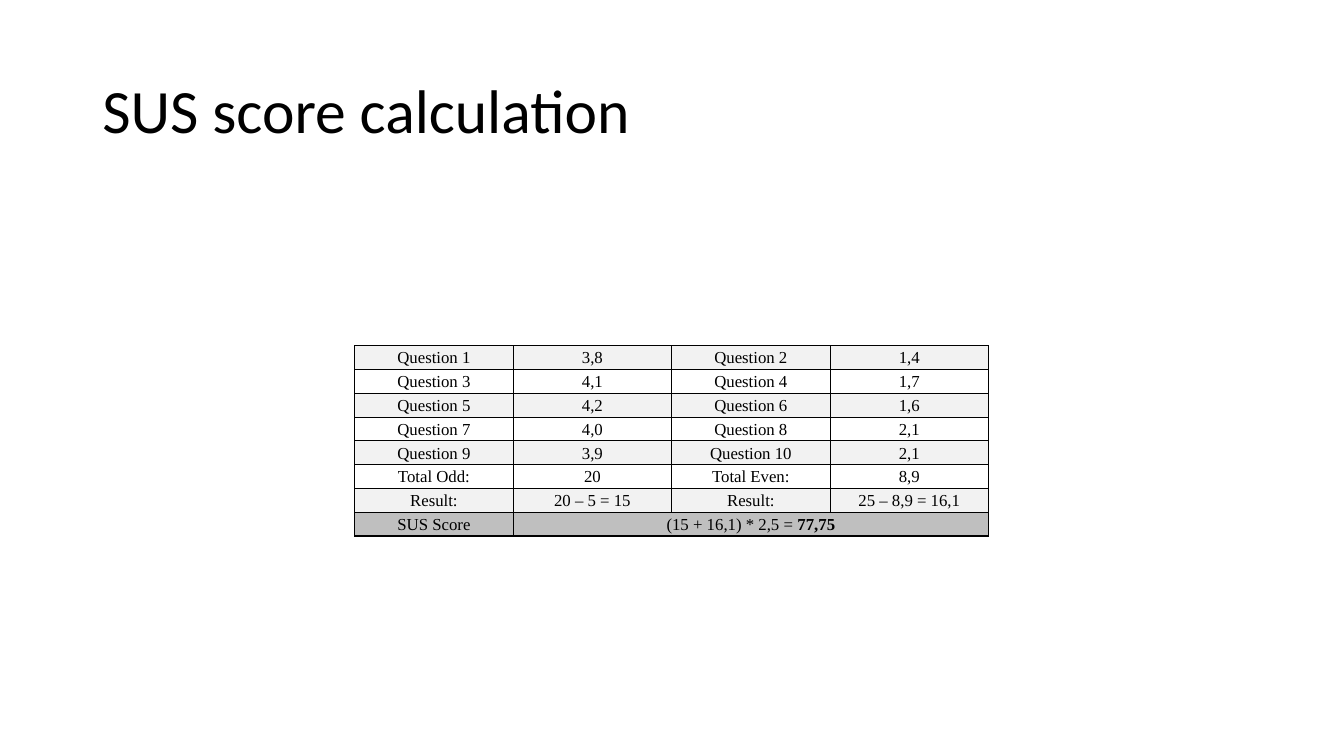
from lxml import etree
from pptx import Presentation
from pptx.dml.color import RGBColor
from pptx.enum.text import MSO_ANCHOR, PP_ALIGN
from pptx.oxml.ns import qn
from pptx.util import Pt

MIDDLE = MSO_ANCHOR.MIDDLE
LEFT, CENTER = PP_ALIGN.LEFT, PP_ALIGN.CENTER
BLACK = RGBColor(0x00, 0x00, 0x00)
BAND = RGBColor(0xF2, 0xF2, 0xF2)
SCORE = RGBColor(0xBF, 0xBF, 0xBF)

ROWS = [
    ("Question 1", "3,8", "Question 2", "1,4"),
    ("Question 3", "4,1", "Question 4", "1,7"),
    ("Question 5", "4,2", "Question 6", "1,6"),
    ("Question 7", "4,0", "Question 8", "2,1"),
    ("Question 9", "3,9", "Question 10", "2,1"),
    ("Total Odd:", "20", "Total Even:", "8,9"),
    ("Result:", "20 – 5 = 15", "Result:", "25 – 8,9 = 16,1"),
    ("SUS Score", "(15 + 16,1) * 2,5 = "),
]


def apply(target, values):
    for name, value in values.items():
        setattr(target, name, value)


class SlideBuilder:
    title_font = {"name": "Calibri", "size": Pt(44), "bold": False}
    cell_font = {"name": "Times New Roman", "size": Pt(12), "bold": False}
    title_par = {"alignment": LEFT, "line_spacing": 0.9}
    cell_par = {"alignment": CENTER, "line_spacing": 1.07, "space_after": Pt(8)}
    cell_box = {"vertical_anchor": MIDDLE, "margin_left": Pt(5.4),
                "margin_right": Pt(5.4), "margin_top": 0, "margin_bottom": 0}

    def __init__(self, slide):
        self.s = slide

    def run(self, p, text, font, **changes):
        r = p.add_run()
        r.text = text
        apply(r.font, {**font, **changes})
        r.font.color.rgb = BLACK

    def title(self, text, left, top, width, height):
        sp = self.s.shapes.title
        apply(sp, {"left": Pt(left), "top": Pt(top),
                   "width": Pt(width), "height": Pt(height)})
        tf = sp.text_frame
        tf.vertical_anchor = MIDDLE
        p = tf.paragraphs[0]
        apply(p, self.title_par)
        self.run(p, text, self.title_font)

    def borders(self, cell):
        tc_pr = cell._tc.get_or_add_tcPr()
        for side in ("a:lnL", "a:lnR", "a:lnT", "a:lnB"):
            ln = etree.SubElement(tc_pr, qn(side), w=str(Pt(1)))
            fill = etree.SubElement(ln, qn("a:solidFill"))
            etree.SubElement(fill, qn("a:srgbClr"), val=str(BLACK))

    def cell(self, cell, text, color):
        apply(cell, self.cell_box)
        self.borders(cell)
        if color is None:
            cell.fill.background()
        else:
            cell.fill.solid()
            cell.fill.fore_color.rgb = color
        p = cell.text_frame.paragraphs[0]
        apply(p, self.cell_par)
        if text:
            self.run(p, text, self.cell_font)

    def table(self, rows, left, top, col_width, row_height):
        n_rows, n_cols = len(rows), len(rows[0])
        table = self.s.shapes.add_table(
            n_rows, n_cols, Pt(left), Pt(top),
            Pt(col_width * n_cols), Pt(row_height * n_rows)).table
        apply(table, {"first_row": False, "horz_banding": False})
        for col in table.columns:
            col.width = Pt(col_width)
        for i, row in enumerate(rows):
            table.rows[i].height = Pt(row_height)
            color = SCORE if i == n_rows - 1 else (BAND, None)[i % 2]
            for j in range(n_cols):
                text = row[j] if j < len(row) else ""
                self.cell(table.cell(i, j), text, color)
        return table


def main():
    prs = Presentation()
    apply(prs, {"slide_width": Pt(960), "slide_height": Pt(540)})
    b = SlideBuilder(prs.slides.add_slide(prs.slide_layouts[5]))
    b.title("SUS score calculation", 66, 28.75, 828, 104.4)
    table = b.table(ROWS, 253.4, 247, 113.2, 17)
    score = table.cell(7, 1)
    score.merge(table.cell(7, 3))
    b.run(score.text_frame.paragraphs[0], "77,75", b.cell_font, bold=True)
    prs.save("out.pptx")


if __name__ == "__main__":
    main()
